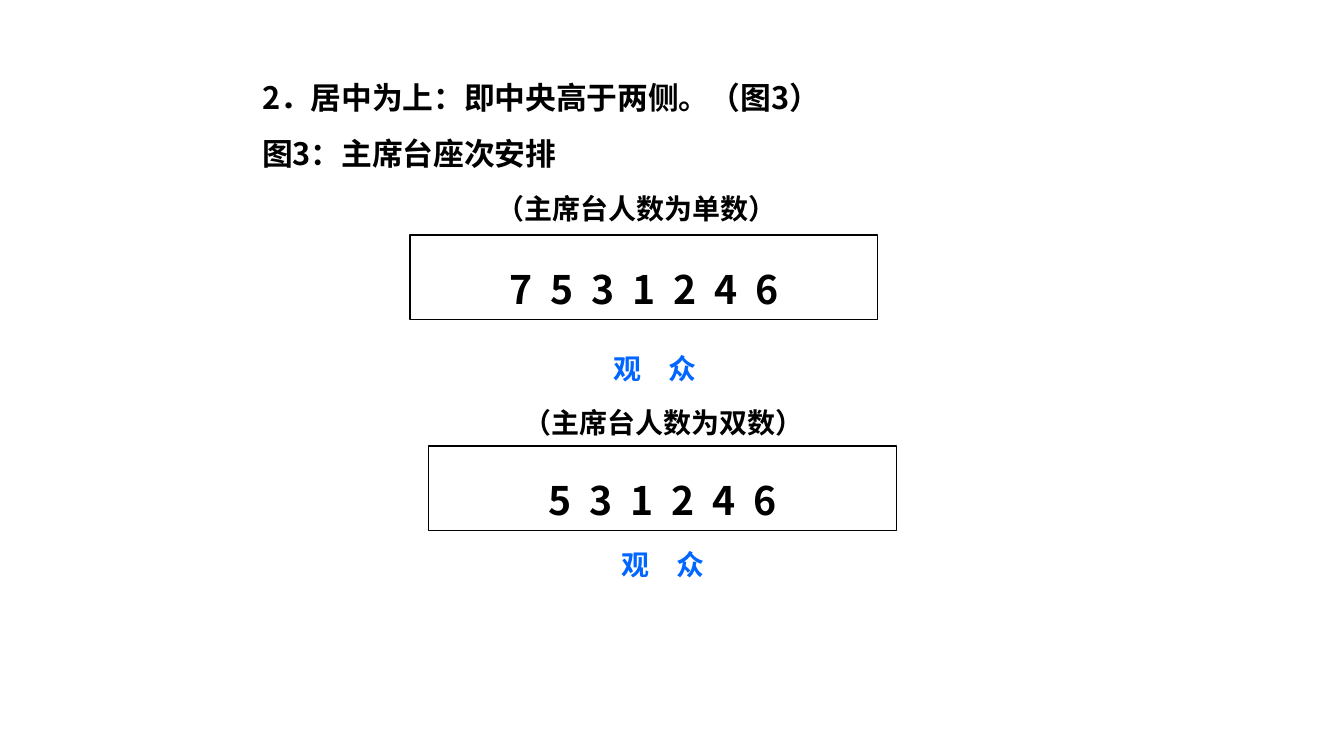
import pptx
import pptx.dml.color
import pptx.enum.shapes
import pptx.enum.text
import pptx.oxml.ns
import pptx.util
from lxml import etree
from pptx.util import Inches

BLACK = pptx.dml.color.RGBColor(0x00, 0x00, 0x00)
BLUE = pptx.dml.color.RGBColor(0x00, 0x66, 0xFF)
FONT = "Noto Sans CJK SC"
ALIGN = pptx.enum.text.PP_ALIGN


def write_text(shape, text, size, color=BLACK, align=ALIGN.CENTER, spacing=0):
    """Fill a shape with bold text; spacing is letter spacing in points."""
    text_frame = shape.text_frame
    text_frame.text = text
    text_frame.word_wrap = True
    text_frame.auto_size = pptx.enum.text.MSO_AUTO_SIZE.NONE
    text_frame.vertical_anchor = pptx.enum.text.MSO_ANCHOR.TOP
    for paragraph in text_frame.paragraphs:
        paragraph.alignment = align
        paragraph.line_spacing = 1.5
        paragraph.space_before = pptx.util.Pt(0)
        for run in paragraph.runs:
            run.font.size = pptx.util.Pt(size)
            run.font.bold = True
            run.font.color.rgb = color
            run.font.name = FONT
            properties = run._r.get_or_add_rPr()
            east_asian = etree.SubElement(properties, pptx.oxml.ns.qn("a:ea"))
            east_asian.set("typeface", FONT)
            if spacing:
                properties.set("spc", str(round(spacing * 100)))


# A 16:9 slide
presentation = pptx.Presentation()
presentation.slide_width = Inches(10)
presentation.slide_height = Inches(10) * 9 // 16
slide = presentation.slides.add_slide(presentation.slide_layouts[5])

# Heading
title = slide.shapes.title
title.left, title.top = Inches(1.59), Inches(0.3)
title.width, title.height = Inches(5.79), Inches(1.05)
write_text(title, "2．居中为上：即中央高于两侧。（图3）\n图3：主席台座次安排",
           16.5, align=ALIGN.LEFT)
title.text_frame.margin_left = Inches(0.36)
title.text_frame.margin_top = Inches(0.15)

# Rostrum tables with their seat numbers
for left, top, seats in [(3.05, 1.75, "7 5 3 1 2 4 6"),
                         (3.19, 3.32, "5 3 1 2 4 6")]:
    rostrum = slide.shapes.add_shape(
        pptx.enum.shapes.MSO_SHAPE.RECTANGLE,
        Inches(left), Inches(top), Inches(3.48), Inches(0.63))
    rostrum.shadow.inherit = False
    rostrum.fill.background()
    rostrum.line.color.rgb = BLACK
    rostrum.line.width = pptx.util.Pt(0.75)
    write_text(rostrum, seats, 21, spacing=2.4)

# Captions above the tables and audience below them
for left, top, text, color, spacing in [
    (3.05, 1.25, "（主席台人数为单数）", BLACK, 0),
    (3.19, 2.44, "观 众", BLUE, 5.5),
    (3.25, 2.84, "（主席台人数为双数）", BLACK, 0),
    (3.25, 3.9, "观 众", BLUE, 5.5),
]:
    label = slide.shapes.add_textbox(
        Inches(left), Inches(top), Inches(3.37), Inches(0.48))
    write_text(label, text, 15, color, spacing=spacing)

presentation.save("out.pptx")
